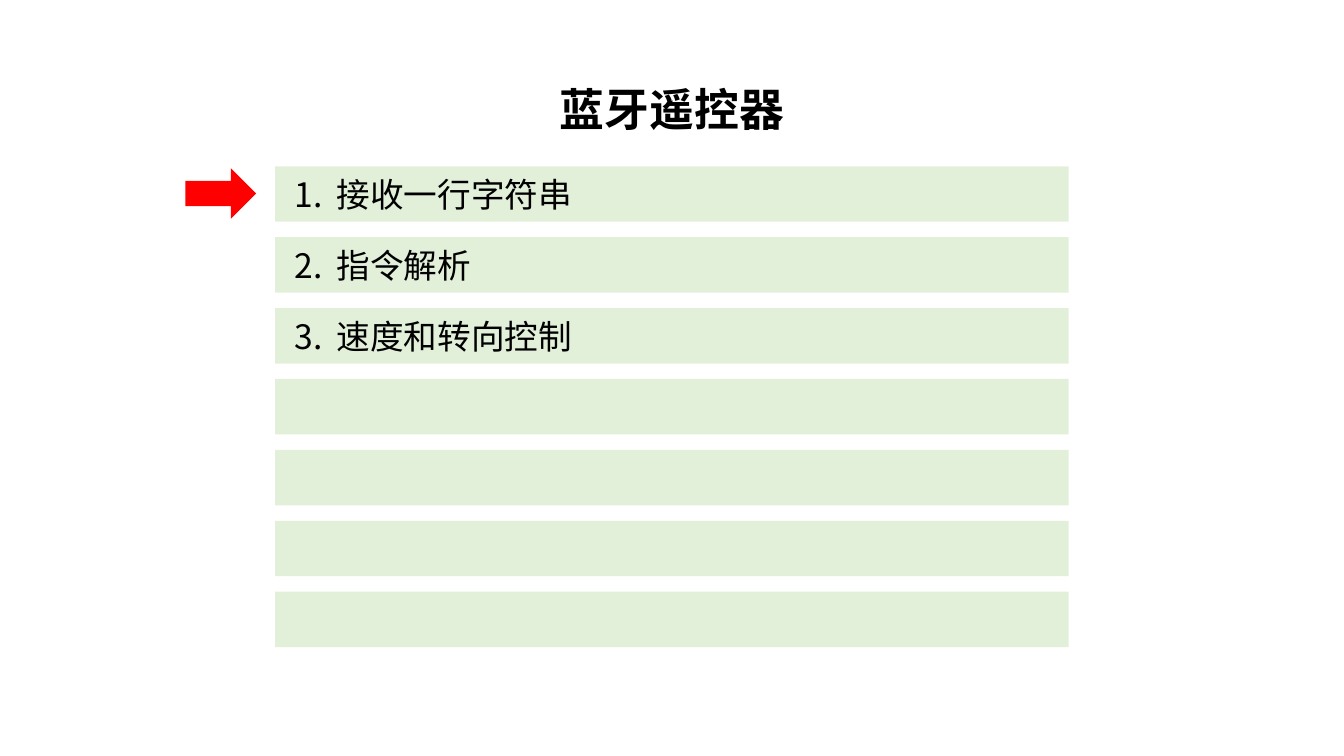
from lxml import etree
from pptx import Presentation
from pptx import util as u
from pptx.dml.color import RGBColor
from pptx.enum import shapes, text
from pptx.oxml.ns import qn

COLORS = {"ink": "000000", "bar": "E2F0D9", "arrow": "FF0000"}
FONT = "Noto Sans CJK SC"
STEPS = ["接收一行字符串", "指令解析", "速度和转向控制"]
BAR_COUNT = 7
BAR_HEIGHT = 0.55


def write(shape, words, size=24, bold=False, align=text.PP_ALIGN.LEFT, inset=0.1, hanging=0):
    """Fill a shape with one paragraph; a tab in it jumps to the hanging indent."""
    frame = shape.text_frame
    frame.word_wrap = True
    frame.auto_size = text.MSO_AUTO_SIZE.NONE
    frame.vertical_anchor = text.MSO_ANCHOR.MIDDLE
    frame.margin_left = frame.margin_right = u.Inches(inset)
    frame.margin_top = frame.margin_bottom = 0
    paragraph = frame.paragraphs[0]
    paragraph.alignment = align
    paragraph.line_spacing = 1.0
    paragraph.space_before = u.Pt(0)
    if hanging:
        properties = paragraph._p.get_or_add_pPr()
        properties.set("marL", str(u.Inches(hanging)))
        properties.set("indent", str(-u.Inches(hanging)))
    run = paragraph.add_run()
    run.text = words
    run.font.size = u.Pt(size)
    run.font.bold = bold
    run.font.color.rgb = RGBColor.from_string(COLORS["ink"])
    run.font.name = FONT
    etree.SubElement(run._r.get_or_add_rPr(), qn("a:ea"), typeface=FONT)


def add_block(slide, kind, color, left, top, width, height):
    block = slide.shapes.add_shape(kind, *map(u.Inches, (left, top, width, height)))
    block.shadow.inherit = False
    block.fill.solid()
    block.fill.fore_color.rgb = RGBColor.from_string(COLORS[color])
    block.line.fill.background()
    return block


def add_title(slide, left, top, width, height):
    title = slide.shapes.title
    title.left, title.top, title.width, title.height = map(u.Inches, (left, top, width, height))
    write(title, "蓝牙遥控器", size=32, bold=True, align=text.PP_ALIGN.CENTER)


def add_steps(slide, left, top, width, height):
    """Spread the bars evenly over the box and number the ones that hold a step."""
    pitch = (height - BAR_HEIGHT) / (BAR_COUNT - 1)
    for index in range(BAR_COUNT):
        bar = add_block(slide, shapes.MSO_SHAPE.RECTANGLE, "bar",
                        left, top + index * pitch, width, BAR_HEIGHT)
        if index < len(STEPS):
            write(bar, f"{index + 1}.\t{STEPS[index]}", inset=0.19, hanging=0.42)


def add_current_step_arrow(slide, left, top, width, height):
    add_block(slide, shapes.MSO_SHAPE.RIGHT_ARROW, "arrow", left, top, width, height)


def main():
    deck = Presentation()
    deck.slide_width, deck.slide_height = u.Inches(13.33), u.Inches(7.5)
    slide = deck.slides.add_slide(deck.slide_layouts.get_by_name("Title Only"))
    add_title(slide, 5.2, 0.76, 2.93, 0.64)
    add_steps(slide, 2.73, 1.65, 7.87, 4.77)
    add_current_step_arrow(slide, 1.84, 1.67, 0.7, 0.5)
    deck.save("out.pptx")


if __name__ == "__main__":
    main()
